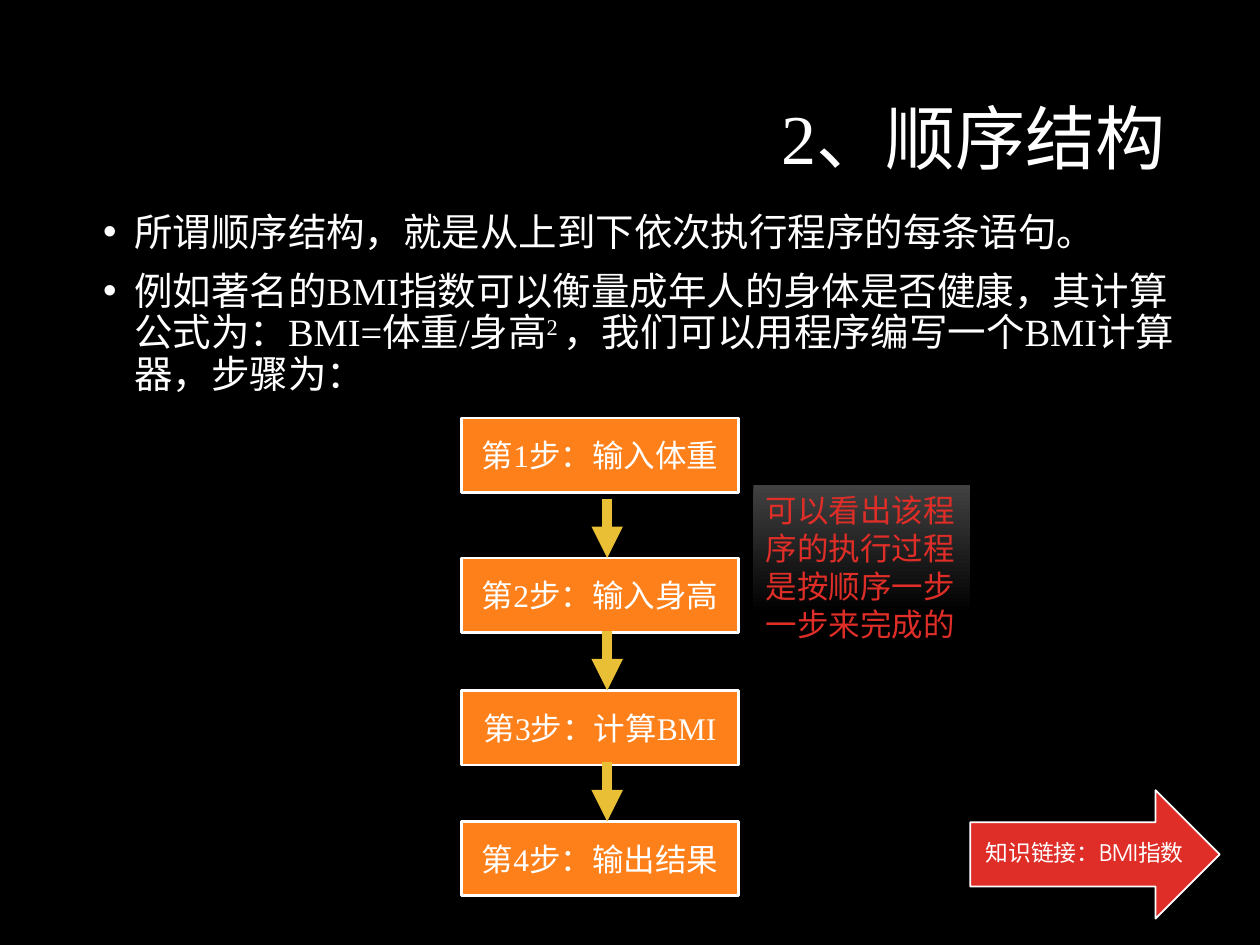
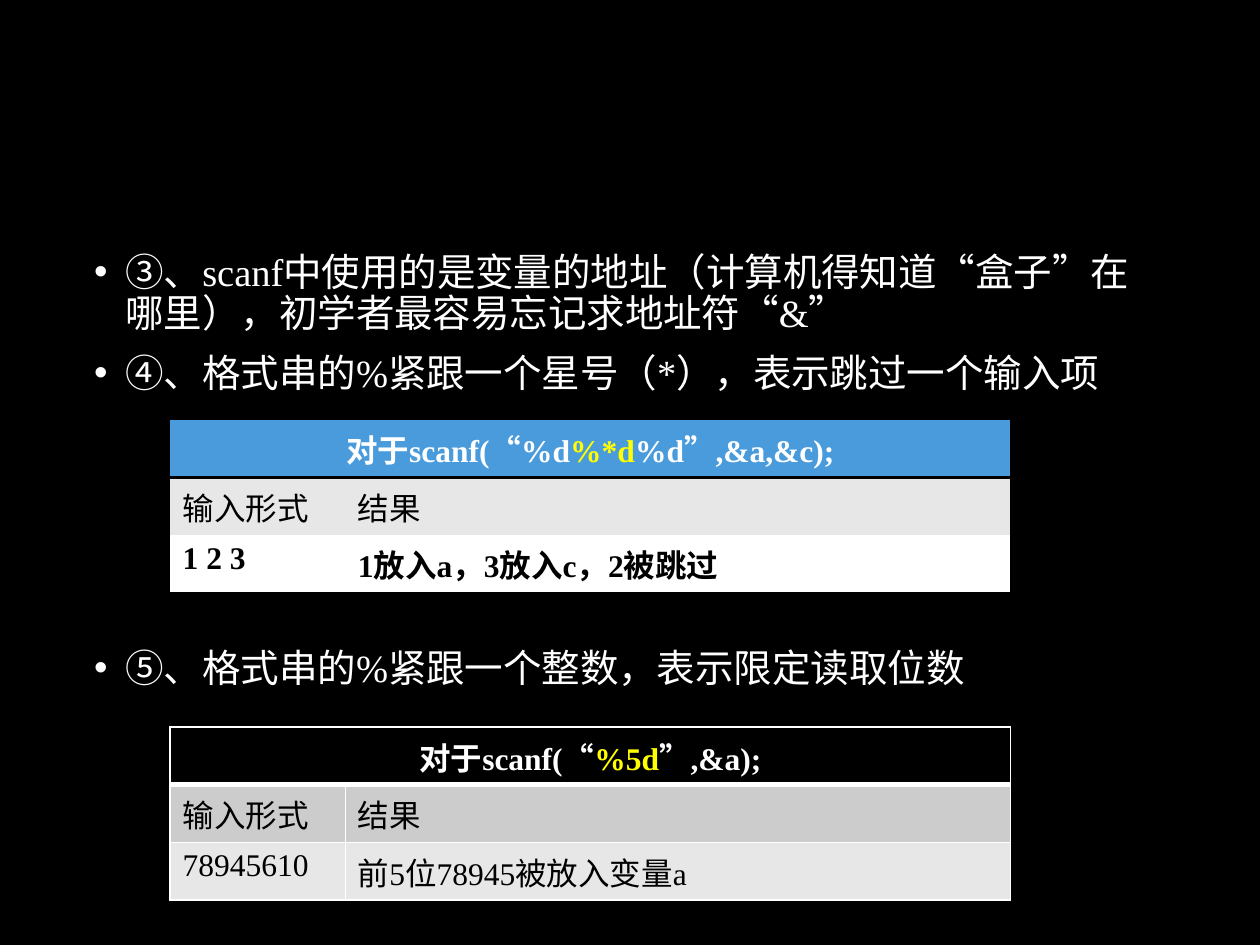
from lxml.etree import SubElement
from pptx import Presentation
from pptx.dml.color import RGBColor
from pptx.enum.shapes import MSO_CONNECTOR, MSO_SHAPE
from pptx.enum.text import MSO_ANCHOR, PP_ALIGN
from pptx.oxml.ns import qn
from pptx.util import Cm, Pt

BLACK, WHITE, YELLOW = "000000", "FFFFFF", "FFFF00"
ORANGE, GOLD, RED, BLUE = "FE801A", "E9BF35", "DF2E28", "4A9BDC"
CHARCOAL, GREY, PALE = "414141", "CCCCCC", "E7E7E7"
SERIF, SANS = "Times New Roman", "TeX Gyre Adventor"


def colour(value):
    return RGBColor.from_string(value)


def write(paragraph, pieces, size, tint=WHITE, font=SERIF, bold=False, align=PP_ALIGN.LEFT):
    paragraph.alignment = align
    for piece in pieces:
        text, piece_tint = piece if isinstance(piece, tuple) else (piece, tint)
        run = paragraph.add_run()
        run.text = text
        run.font.name = font
        run.font.size = Pt(size)
        run.font.bold = bold
        run.font.color.rgb = colour(piece_tint)


def add_text_frame(shapes, box, anchor=MSO_ANCHOR.TOP):
    text_frame = shapes.add_textbox(*map(Cm, box)).text_frame
    text_frame.word_wrap = True
    text_frame.vertical_anchor = anchor
    return text_frame


def add_block(shapes, kind, box, fill, line_width):
    shape = shapes.add_shape(kind, *map(Cm, box))
    shape.shadow.inherit = False
    shape.fill.solid()
    shape.fill.fore_color.rgb = colour(fill)
    shape.line.color.rgb = colour(WHITE)
    shape.line.width = Pt(line_width)
    return shape


def add_title(slide, box, text):
    paragraph = add_text_frame(slide.shapes, box, MSO_ANCHOR.MIDDLE).paragraphs[0]
    paragraph.line_spacing = 0.9
    write(paragraph, [text], 40, align=PP_ALIGN.RIGHT)


def add_bullets(slide, box, items):
    text_frame = add_text_frame(slide.shapes, box)
    for index, (space_before, pieces) in enumerate(items):
        paragraph = text_frame.add_paragraph() if index else text_frame.paragraphs[0]
        paragraph.line_spacing = 0.9
        paragraph.space_before = Pt(space_before)
        write(paragraph, pieces, 22)
        properties = paragraph._p.get_or_add_pPr()
        properties.set("marL", str(Cm(0.63)))
        properties.set("indent", str(-Cm(0.63)))
        SubElement(properties, qn("a:buFont"), typeface="Arial")
        SubElement(properties, qn("a:buChar"), char="•")
    return text_frame


def add_down_arrow(shapes, x, top, bottom):
    connector = shapes.add_connector(MSO_CONNECTOR.STRAIGHT, Cm(x), Cm(top), Cm(x), Cm(bottom))
    connector.line.color.rgb = colour(GOLD)
    connector.line.width = Pt(6)
    SubElement(connector.line._get_or_add_ln(), qn("a:tailEnd"), type="triangle")
    SubElement(connector._element.spPr, qn("a:effectLst"))


def add_flow(slide, left, top, steps):
    width, height, arrow_length = 5.59, 1.5, 1.19
    shapes = slide.shapes.add_group_shape().shapes
    for offset, text in steps:
        step = add_block(shapes, MSO_SHAPE.RECTANGLE, (left, top + offset, width, height), ORANGE, 1.5)
        step.text_frame.word_wrap = True
        step.text_frame.vertical_anchor = MSO_ANCHOR.MIDDLE
        write(step.text_frame.paragraphs[0], [text], 18, align=PP_ALIGN.CENTER)
    for offset, _ in steps[1:]:
        add_down_arrow(shapes, left + 2.94, top + offset - arrow_length, top + offset)


def add_note(slide, box, text):
    note = slide.shapes.add_shape(MSO_SHAPE.RECTANGLE, *map(Cm, box))
    note.shadow.inherit = False
    note.line.fill.background()
    note.fill.gradient()
    note.fill.gradient_angle = 270
    for stop, position, tint in zip(note.fill.gradient_stops, (0, 0.78), (CHARCOAL, BLACK)):
        stop.position = position
        stop.color.rgb = colour(tint)
    note.text_frame.word_wrap = True
    note.text_frame.vertical_anchor = MSO_ANCHOR.TOP
    write(note.text_frame.paragraphs[0], [text], 18, RED, SANS)


def add_link_arrow(slide, box, text):
    left, top, width, height = box
    shapes = slide.shapes.add_group_shape().shapes
    add_block(shapes, MSO_SHAPE.RIGHT_ARROW, box, RED, 1)
    label_box = (left + 0.25, top + height / 4, width - 0.92, height / 2)
    text_frame = add_text_frame(shapes, label_box, MSO_ANCHOR.MIDDLE)
    text_frame.margin_left = text_frame.margin_right = 0
    text_frame.margin_top = text_frame.margin_bottom = Cm(0.36)
    paragraph = text_frame.paragraphs[0]
    paragraph.line_spacing = 0.9
    write(paragraph, [text], 13, font=SANS, align=PP_ALIGN.CENTER)


def set_border(cell, side, border):
    tint, width = border or (None, 0)
    line = SubElement(cell._tc.get_or_add_tcPr(), qn("a:ln" + side), w=str(Pt(width)))
    if tint:
        SubElement(SubElement(line, qn("a:solidFill")), qn("a:srgbClr"), val=tint)
    else:
        SubElement(line, qn("a:noFill"))


def add_scanf_table(slide, left, top, rows, fills, grid, rule, bold_result):
    column_widths, row_height = (3.53, 13.41), 1.16
    frame = slide.shapes.add_table(
        len(rows), 2, Cm(left), Cm(top), Cm(sum(column_widths)), Cm(row_height * len(rows)))
    table = frame.table
    table.horz_banding = False
    for column, width in zip(table.columns, column_widths):
        column.width = Cm(width)
    for row_index, (row, fill) in enumerate(zip(rows, fills)):
        header = row_index == 0
        table.rows[row_index].height = Cm(row_height)
        for column_index in range(2):
            cell = table.cell(row_index, column_index)
            borders = {"L": grid, "R": grid, "T": rule if row_index == 1 else grid,
                       "B": rule if header else grid}
            for side, border in borders.items():
                set_border(cell, side, border)
            cell.fill.solid()
            cell.fill.fore_color.rgb = colour(fill)
        for column_index, pieces in enumerate(row):
            write(table.cell(row_index, column_index).text_frame.paragraphs[0], pieces, 18,
                  WHITE if header else BLACK,
                  bold=header or (bold_result and row_index == len(rows) - 1),
                  align=PP_ALIGN.CENTER if header else PP_ALIGN.LEFT)
    table.cell(0, 0).merge(table.cell(0, 1))


def build_sequence_slide(slide):
    add_title(slide, (6.05, 1.57, 17.7, 2.59), "2、顺序结构")
    text_frame = add_bullets(slide, (1.83, 4.17, 22.1, 11.3), [
        (10, ["所谓顺序结构，就是从上到下依次执行程序的每条语句。"]),
        (10, ["例如著名的BMI指数可以衡量成年人的身体是否健康，其计算公式为：BMI=体重/身高",
              "2 ", "，我们可以用程序编写一个BMI计算器，步骤为："]),
    ])
    exponent = text_frame.paragraphs[1].runs[1]
    exponent.font._element.set("baseline", "30000")
    add_flow(slide, 9.3, 8.43, [
        (0, "第1步：输入体重"),
        (2.82, "第2步：输入身高"),
        (5.49, "第3步：计算BMI"),
        (8.13, "第4步：输出结果"),
    ])
    add_note(slide, (15.19, 9.78, 4.37, 3.33), "可以看出该程序的执行过程是按顺序一步一步来完成的")
    add_link_arrow(slide, (19.56, 15.93, 5.03, 2.59), "知识链接：BMI指数")


def build_scanf_slide(slide):
    add_bullets(slide, (1.65, 4.98, 22.1, 12.42), [
        (10, ["③、scanf中使用的是变量的地址（计算机得知道“盒子”在哪里），初学者最容易忘记求地址符“&”"]),
        (10, ["④、格式串的%紧跟一个星号（*），表示跳过一个输入项"]),
        (145, ["⑤、格式串的%紧跟一个整数，表示限定读取位数"]),
    ])
    headings = [["输入形式"], ["结果"]]
    add_scanf_table(slide, 3.43, 8.46, [
        [["对于scanf(“%d", ("%*d", YELLOW), "%d”,&a,&c);"]],
        headings,
        [["1 2 3"], ["1放入a，3放入c，2被跳过"]],
    ], (BLUE, PALE, WHITE), None, (BLACK, 2), True)
    add_scanf_table(slide, 3.43, 14.66, [
        [["对于scanf(“", ("%5d", YELLOW), "”,&a);"]],
        headings,
        [["78945610"], ["前5位78945被放入变量a"]],
    ], (BLACK, GREY, PALE), (WHITE, 1), (WHITE, 3), False)


presentation = Presentation()
presentation.slide_width, presentation.slide_height = Cm(25.4), Cm(19.05)
background = presentation.slide_master.background.fill
background.solid()
background.fore_color.rgb = colour(BLACK)
for build in (build_sequence_slide, build_scanf_slide):
    build(presentation.slides.add_slide(presentation.slide_layouts[6]))
presentation.save("out.pptx")
